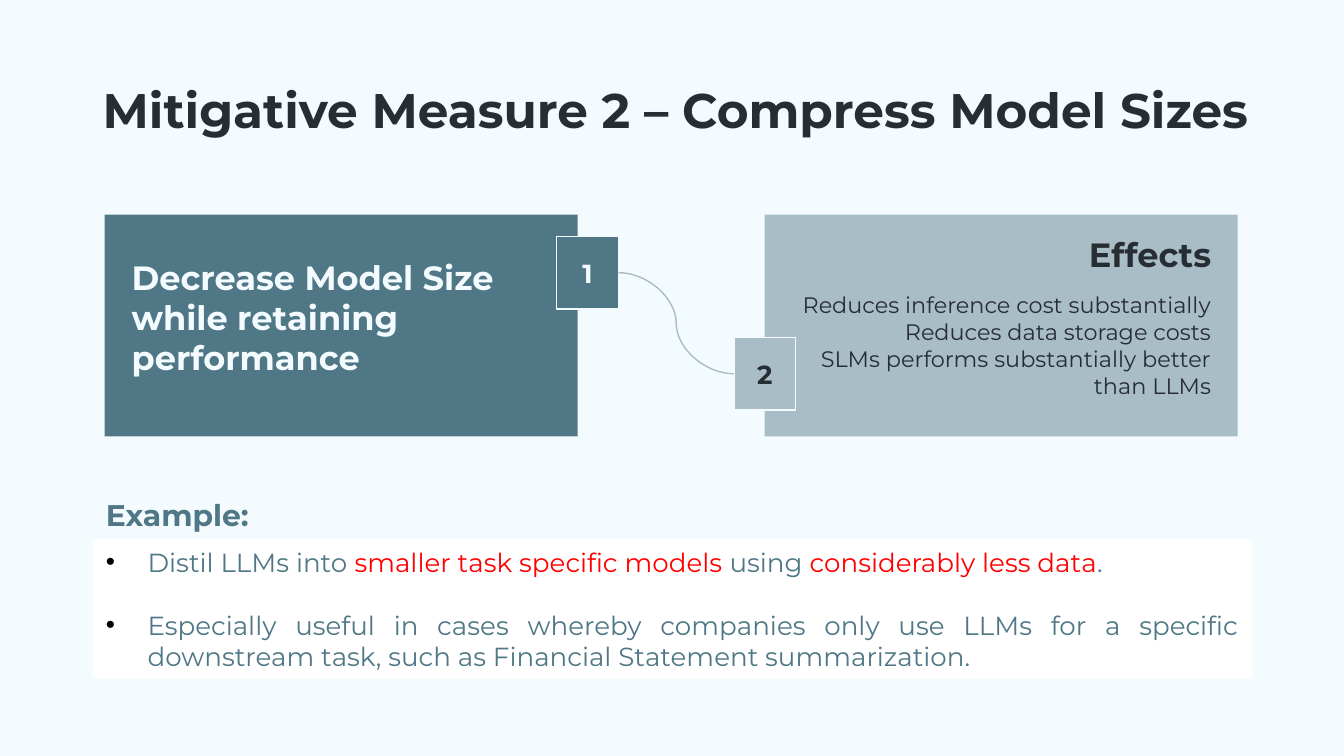
"""Build the slide on compressing model sizes as a mitigative measure."""
from dataclasses import dataclass

from lxml import etree
from pptx import Presentation
from pptx.dml.color import RGBColor
from pptx.enum.shapes import MSO_CONNECTOR, MSO_SHAPE
from pptx.enum.text import MSO_ANCHOR, PP_ALIGN
from pptx.oxml.ns import qn
from pptx.util import Cm, Pt

RECT = MSO_SHAPE.RECTANGLE
CURVE = MSO_CONNECTOR.CURVE
TOP, MIDDLE = MSO_ANCHOR.TOP, MSO_ANCHOR.MIDDLE
LEFT, CENTER, RIGHT, JUSTIFY = (
    PP_ALIGN.LEFT, PP_ALIGN.CENTER, PP_ALIGN.RIGHT, PP_ALIGN.JUSTIFY)
SIDE_LEFT, SIDE_RIGHT = 1, 3


@dataclass(frozen=True)
class Theme:
    """Hold the font, colours and type sizes of the slide."""
    font: str = "Montserrat"
    paper: str = "F3FBFF"
    white: str = "FFFFFF"
    ink: str = "262D33"
    teal: str = "4F7786"
    mist: str = "A8BDC6"
    red: str = "FF0000"
    bullet: str = "000000"
    title: int = 26
    heading: int = 18
    label: int = 16
    body: int = 14
    detail: int = 12
    line: float = 0.75


THEME = Theme()


def rgb(color):
    """Turn a hex string into a colour."""
    return RGBColor.from_string(color)


def add_bullet(p, indent=0.79):
    """Give a paragraph a hanging round bullet."""
    pPr = p._p.get_or_add_pPr()
    pPr.set("marL", str(Cm(indent)))
    pPr.set("indent", str(-Cm(indent)))
    clr = etree.SubElement(pPr, qn("a:buClr"))
    etree.SubElement(clr, qn("a:srgbClr"), val=THEME.bullet)
    etree.SubElement(pPr, qn("a:buFont"), typeface="Arial")
    etree.SubElement(pPr, qn("a:buChar"), char="•")


def write(sp, paragraphs, size, color, bold=False, align=LEFT, anchor=TOP,
          inset=0.25, bullets=False, gap=0):
    """Write paragraphs, each a string or a list of (text, colour) runs."""
    tf = sp.text_frame
    tf.word_wrap = True
    tf.vertical_anchor = anchor
    tf.margin_left = tf.margin_right = Cm(0.25)
    tf.margin_top = tf.margin_bottom = Cm(inset)
    for i, content in enumerate(paragraphs):
        p = tf.add_paragraph() if i else tf.paragraphs[0]
        p.alignment = align
        if i and gap:
            p.space_before = Pt(gap)
        if bullets:
            add_bullet(p)
        runs = [(content, color)] if isinstance(content, str) else content
        for text, run_color in runs:
            r = p.add_run()
            r.text = text
            r.font.name = THEME.font
            r.font.size = Pt(size)
            r.font.bold = bold
            r.font.color.rgb = rgb(run_color)


def add_text(s, box, paragraphs, **fmt):
    """Add a text box."""
    write(s.shapes.add_textbox(*map(Cm, box)), paragraphs, **fmt)


def add_rect(s, box, fill, line=None):
    """Add a flat rectangle with an optional outline."""
    sp = s.shapes.add_shape(RECT, *map(Cm, box))
    sp.shadow.inherit = False
    sp.fill.solid()
    sp.fill.fore_color.rgb = rgb(fill)
    if line:
        sp.line.color.rgb = rgb(line)
        sp.line.width = Pt(THEME.line)
    else:
        sp.line.fill.background()
    return sp


def add_badge(s, left, top, number, fill, color):
    """Add a numbered badge."""
    sp = add_rect(s, (left, top, 1.17, 1.37), fill, THEME.paper)
    write(sp, [number], size=THEME.body, color=color, bold=True,
          align=CENTER, anchor=MIDDLE)
    return sp


def join(s, start, end):
    """Link the right side of one shape to the left side of another."""
    cxn = s.shapes.add_connector(CURVE, 0, 0, 0, 0)
    cxn.begin_connect(start, SIDE_RIGHT)
    cxn.end_connect(end, SIDE_LEFT)
    cxn.line.color.rgb = rgb(THEME.mist)
    cxn.line.width = Pt(THEME.line)
    etree.SubElement(cxn._element.spPr, qn("a:effectLst"))


def main():
    """Build and save the slide."""
    t = THEME
    prs = Presentation()
    prs.slide_width, prs.slide_height = Cm(25.4), Cm(14.29)
    s = prs.slides.add_slide(prs.slide_layouts[6])
    s.background.fill.solid()
    s.background.fill.fore_color.rgb = rgb(t.paper)

    add_text(s, (1.63, 1.27, 22.3, 1.65),
             ["Mitigative Measure 2 – Compress Model Sizes"],
             size=t.title, color=t.ink, bold=True, align=CENTER)

    for left, fill in ((1.98, t.teal), (14.45, t.mist)):
        add_rect(s, (left, 4.06, 8.94, 4.19), fill)
    add_text(s, (2.24, 4.24, 8.46, 3.51),
             ["Decrease Model Size while retaining performance"],
             size=t.heading, color=t.paper, bold=True, anchor=MIDDLE)
    add_text(s, (14.68, 4.34, 8.46, 0.91), ["Effects"],
             size=t.heading, color=t.ink, bold=True, align=RIGHT,
             anchor=MIDDLE)
    add_text(s, (14.68, 5.26, 8.46, 2.67),
             ["Reduces inference cost substantially",
              "Reduces data storage costs",
              "SLMs performs substantially better than LLMs"],
             size=t.detail, color=t.ink, align=RIGHT)

    first = add_badge(s, 10.52, 4.47, "1", t.teal, t.paper)
    second = add_badge(s, 13.87, 6.38, "2", t.mist, t.ink)
    join(s, first, second)

    add_text(s, (1.75, 9.25, 4.34, 0.94), ["Example:"],
             size=t.label, color=t.teal, bold=True, inset=0.13)
    example = add_rect(s, (1.75, 10.19, 21.92, 2.64), t.white)
    write(example,
          [[("Distil LLMs into ", t.teal),
            ("smaller task specific models ", t.red),
            ("using ", t.teal),
            ("considerably less data", t.red),
            (".", t.teal)],
           "Especially useful in cases whereby companies only use LLMs for a "
           "specific downstream task, such as Financial Statement "
           "summarization."],
          size=t.body, color=t.teal, align=JUSTIFY, inset=0.13,
          bullets=True, gap=17)

    prs.save("out.pptx")


if __name__ == "__main__":
    main()
